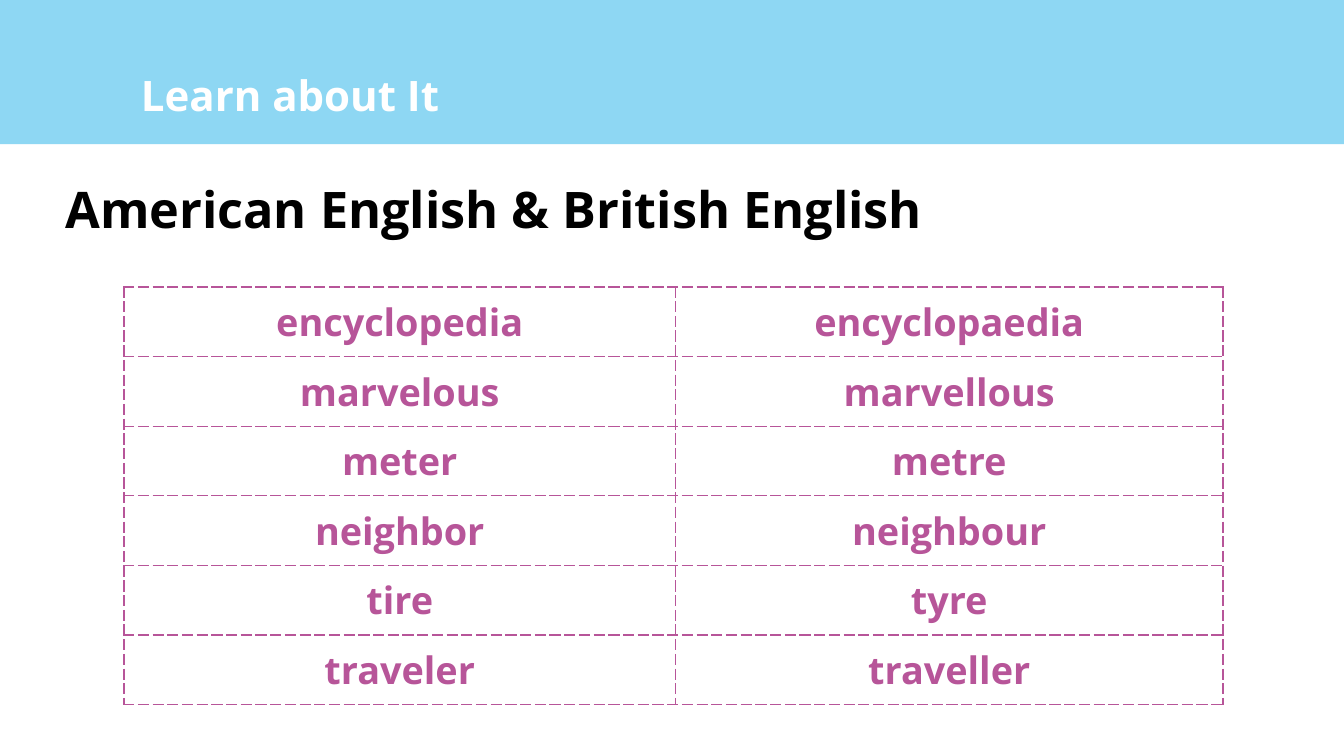
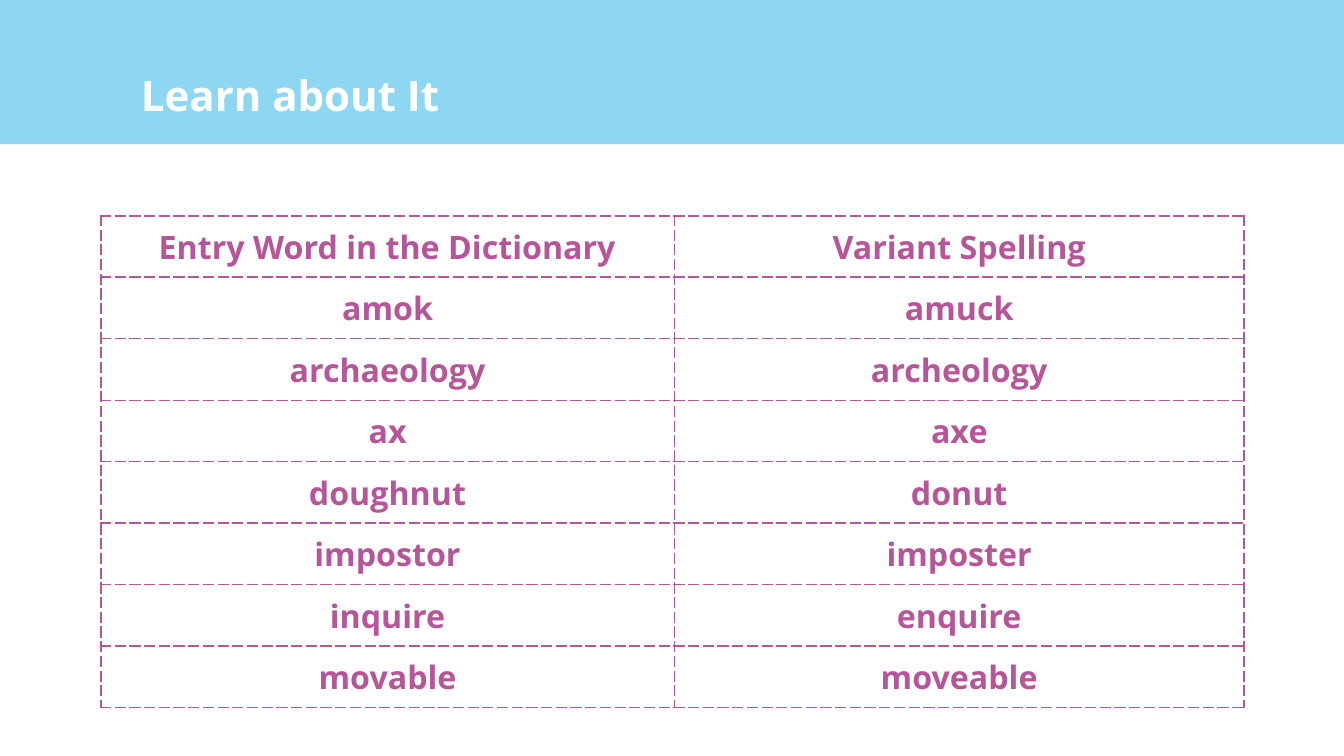
import pptx
import pptx.dml.color
import pptx.enum.shapes
import pptx.enum.text
import pptx.oxml
import pptx.oxml.ns
import pptx.util
from pptx.util import Inches

FONT = "Open Sans"
SKY = "8ED7F3"
PLUM = "B75599"
WHITE = "FFFFFF"
BLACK = "000000"
OUTER_WIDTH = 1.5
INNER_WIDTH = 1

SPELLINGS = [
    ("encyclopedia", "encyclopaedia"),
    ("marvelous", "marvellous"),
    ("meter", "metre"),
    ("neighbor", "neighbour"),
    ("tire", "tyre"),
    ("traveler", "traveller"),
]
VARIANTS = [
    ("Entry Word in the Dictionary", "Variant Spelling"),
    ("amok", "amuck"),
    ("archaeology", "archeology"),
    ("ax", "axe"),
    ("doughnut", "donut"),
    ("impostor", "imposter"),
    ("inquire", "enquire"),
    ("movable", "moveable"),
]


def colour(value):
    return pptx.dml.color.RGBColor.from_string(value)


def write_text(frame, text, size, color, align="LEFT", spacing=None):
    para = frame.paragraphs[0]
    para.alignment = getattr(pptx.enum.text.PP_ALIGN, align)
    para.line_spacing = spacing
    span = para.add_run()
    span.text = text
    span.font.name = FONT
    span.font.size = pptx.util.Pt(size)
    span.font.bold = True
    span.font.color.rgb = colour(color)


def add_text(page, left, top, width, height, text, anchor="TOP", **style):
    box = page.shapes.add_textbox(Inches(left), Inches(top), Inches(width), Inches(height))
    frame = box.text_frame
    frame.word_wrap = True
    frame.vertical_anchor = getattr(pptx.enum.text.MSO_ANCHOR, anchor)
    frame.margin_left = frame.margin_right = Inches(0.1)
    frame.margin_top = frame.margin_bottom = Inches(0.1)
    write_text(frame, text, **style)


def add_page(deck):
    page = deck.slides.add_slide(deck.slide_layouts[6])
    band = page.shapes.add_shape(
        pptx.enum.shapes.MSO_SHAPE.RECTANGLE, 0, 0, deck.slide_width, Inches(1.43))
    band.shadow.inherit = False
    band.fill.solid()
    band.fill.fore_color.rgb = colour(SKY)
    band.line.fill.background()
    add_text(page, 1.3, 0.59, 5.67, 0.95, "Learn about It", size=30, color=WHITE)
    return page


def add_border(cell, side, width):
    namespace = pptx.oxml.ns.nsdecls("a")
    line = pptx.oxml.parse_xml(
        f'<a:ln{side} {namespace} w="{int(pptx.util.Pt(width))}">'
        f'<a:solidFill><a:srgbClr val="{PLUM}"/></a:solidFill>'
        f'<a:prstDash val="dash"/></a:ln{side}>')
    cell._tc.get_or_add_tcPr().append(line)


def format_cell(cell, text, size, top_width, bottom_width):
    cell.margin_left = cell.margin_right = Inches(0.09)
    cell.margin_top = cell.margin_bottom = Inches(0.09)
    cell.vertical_anchor = pptx.enum.text.MSO_ANCHOR.MIDDLE
    write_text(cell.text_frame, text, size=size, color=PLUM, align="CENTER")
    widths = {"L": OUTER_WIDTH, "R": OUTER_WIDTH, "T": top_width, "B": bottom_width}
    for side, width in widths.items():
        add_border(cell, side, width)
    cell.fill.solid()
    cell.fill.fore_color.rgb = colour(WHITE)


def add_word_table(page, left, top, columns, row_height, rows, size, has_header=False):
    table = page.shapes.add_table(
        len(rows), len(columns), Inches(left), Inches(top),
        Inches(sum(columns)), Inches(row_height * len(rows))).table
    table.first_row = has_header
    table.horz_banding = False
    for column, width in zip(table.columns, columns):
        column.width = Inches(width)
    heavy_rules = {0, len(rows)}
    if has_header:
        heavy_rules.add(1)
    rules = [OUTER_WIDTH if index in heavy_rules else INNER_WIDTH
             for index in range(len(rows) + 1)]
    for row_index, words in enumerate(rows):
        table.rows[row_index].height = Inches(row_height)
        for column_index, word in enumerate(words):
            format_cell(table.cell(row_index, column_index), word, size,
                        rules[row_index], rules[row_index + 1])


def main():
    deck = pptx.Presentation()
    deck.slide_width = Inches(13.33)
    deck.slide_height = Inches(7.5)

    page = add_page(deck)
    add_text(page, 0.55, 1.57, 12.4, 1.07, "American English & British English",
             anchor="MIDDLE", size=36, color=BLACK, spacing=0.9)
    add_word_table(page, 1.23, 2.85, (5.47, 5.43), 0.69, SPELLINGS, size=27)

    page = add_page(deck)
    add_word_table(page, 1, 2.14, (5.69, 5.65), 0.61, VARIANTS, size=23, has_header=True)

    deck.save("out.pptx")


if __name__ == "__main__":
    main()
